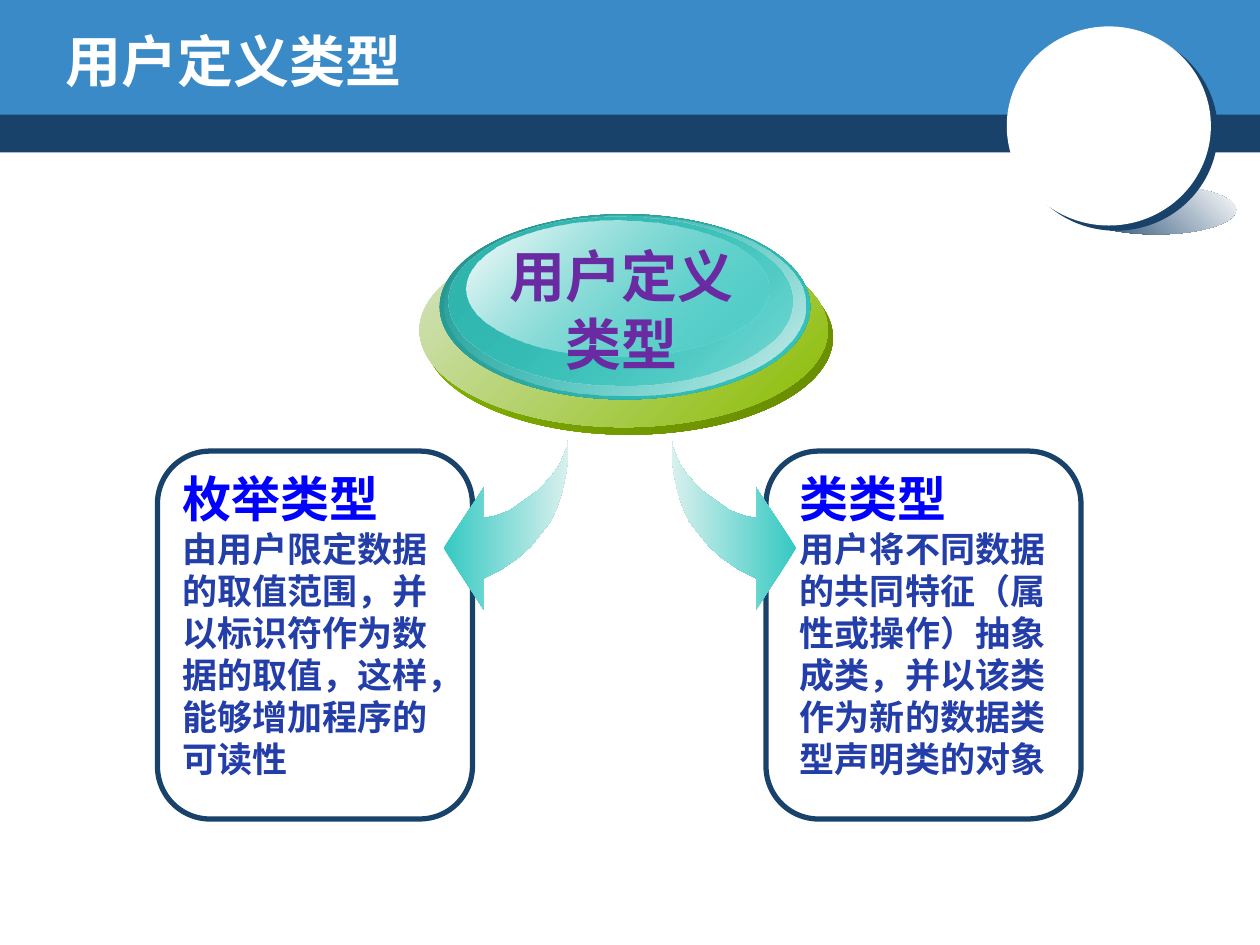
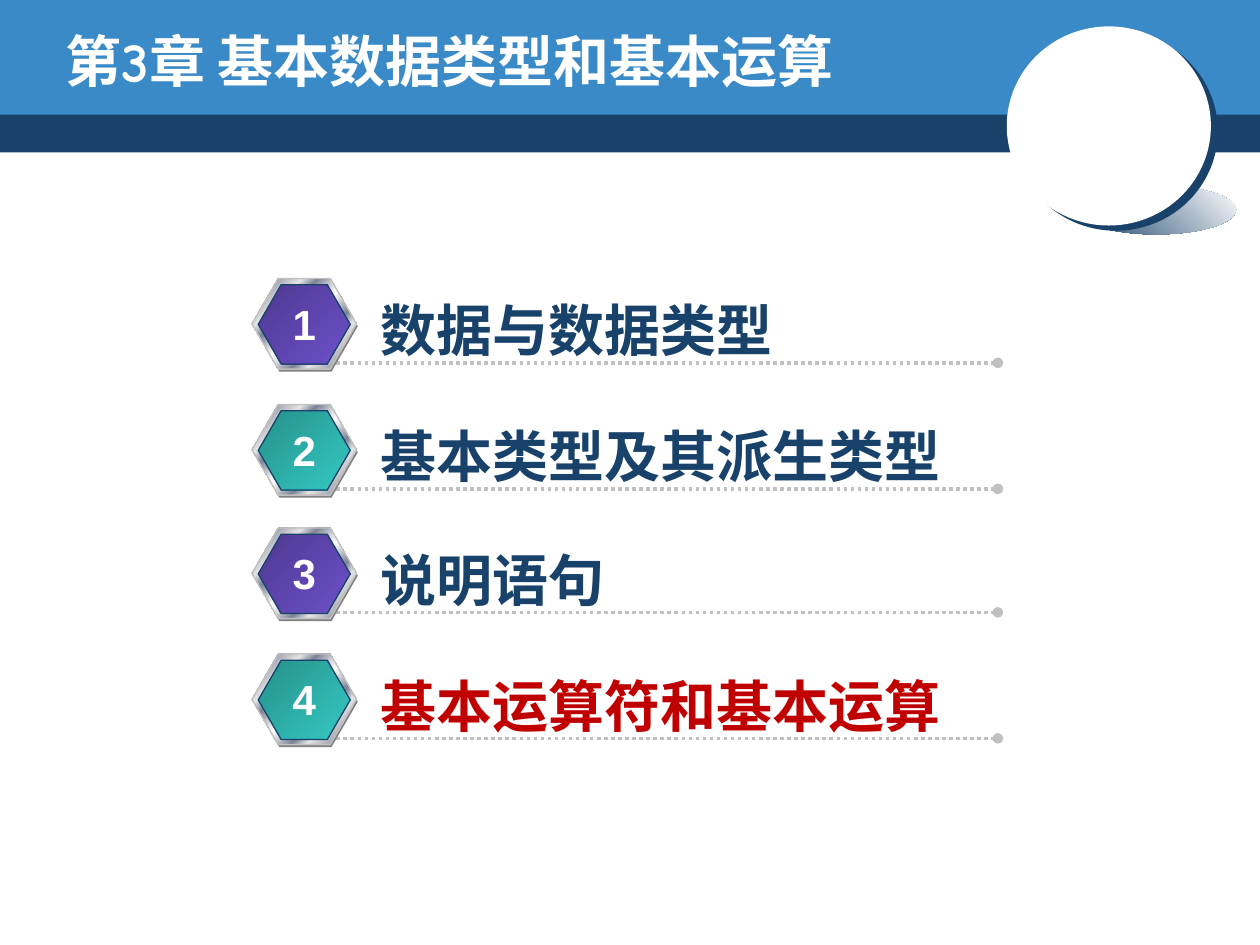
from lxml import etree
from pptx import Presentation
from pptx.dml.color import RGBColor
from pptx.enum.dml import MSO_LINE
from pptx.enum.shapes import MSO_CONNECTOR, MSO_SHAPE
from pptx.enum.text import MSO_ANCHOR, PP_ALIGN
from pptx.oxml import parse_xml
from pptx.oxml.ns import nsdecls, qn
from pptx.util import Inches, Pt

RECT = MSO_SHAPE.RECTANGLE
OVAL = MSO_SHAPE.OVAL
HEXAGON = MSO_SHAPE.HEXAGON
ROUNDED = MSO_SHAPE.ROUNDED_RECTANGLE
STRAIGHT = MSO_CONNECTOR.STRAIGHT
DOTTED = MSO_LINE.ROUND_DOT
LEFT, CENTER = PP_ALIGN.LEFT, PP_ALIGN.CENTER
TOP, MIDDLE = MSO_ANCHOR.TOP, MSO_ANCHOR.MIDDLE

COLORS = {
    "white": "FFFFFF", "navy": "19426B", "sky": "398AC7",
    "heading": "0000FF", "body": "233DA9", "violet": "692AA2",
    "red": "C00000", "silver": "C0C0C0", "gray": "808080",
    "chrome_light": "E6E6E6", "chrome_dark": "7D8496",
    "purple_dark": "4E3990", "purple": "6D50CA",
    "teal_dark": "26908B", "teal_mid": "30B6AF", "teal": "35C9C2",
    "teal_pale": "D5EEEC", "arrow_pale": "D9F0EE",
    "green_dark": "668900", "green": "8BBC00", "green_pale": "D6E4C6",
}
CJK_FONT = "Noto Sans CJK SC"
LINE_HEIGHT = 1.2

CHROME = [(0, "chrome_light"), (7, "chrome_dark"), (26, "chrome_light"),
          (34, "chrome_dark"), (46, "chrome_light"), (50, "white"),
          (54, "chrome_light"), (66, "chrome_dark"), (74, "chrome_light"),
          (93, "chrome_dark"), (100, "chrome_light")]
PURPLE = [(0, "purple_dark"), (100, "purple")]
TEAL = [(0, "teal_dark"), (100, "teal")]

DISC_LAYERS = [
    (0.04, 0.21, 3.24, 1.54, [(0, "green"), (100, "green_dark")]),
    (0, 0.15, 3.24, 1.54, [(0, "green_pale"), (100, "green")]),
    (0.16, 0, 2.94, 1.47, TEAL),
    (0.2, 0.01, 2.86, 1.43, [(0, "teal", 0), (100, "teal_pale")]),
    (0.23, 0.02, 2.73, 1.34, [(0, "teal_mid"), (100, "teal", 48)]),
    (0.37, 0.05, 2.4, 1.08, [(0, "white"), (100, "teal", 38)]),
]
ARROW_WIDTH = 99
ARROW_OUTLINE = [
    (99, 0), (99, 15), (97, 29), (94, 43), (90, 55), (85, 66), (77, 76),
    (69, 86), (59, 95), (46, 104), (32, 111), (32, 136), (0, 87), (32, 39),
    (32, 63), (39, 62), (45, 60), (53, 57), (60, 52), (67, 47), (74, 42),
    (81, 35), (87, 28), (92, 21), (95, 14), (98, 7),
]
CARDS = [
    (6.08, 0.17, 2.25, "类类型",
     "用户将不同数据的共同特征（属性或操作）抽象成类，并以该类作为新的数据类型声明类的对象"),
    (1.25, 0.1, 2.23, "枚举类型",
     "由用户限定数据的取值范围，并以标识符作为数据的取值，这样，能够增加程序的可读性"),
]
CHAPTERS = [
    (2.21, "数据与数据类型", "navy"),
    (3.21, "基本类型及其派生类型", "navy"),
    (4.19, "说明语句", "navy"),
    (5.19, "基本运算符和基本运算", "red"),
]


def rgb(name):
    return RGBColor.from_string(COLORS[name])


def fill_gradient(shape, stops, angle):
    gradient = parse_xml(
        f'<a:gradFill {nsdecls("a")} rotWithShape="1"><a:gsLst/>'
        f'<a:lin ang="{angle * 60000}" scaled="0"/></a:gradFill>')
    for position, name, *opacity in stops:
        stop = etree.SubElement(gradient[0], qn("a:gs"), pos=str(position * 1000))
        color = etree.SubElement(stop, qn("a:srgbClr"), val=COLORS[name])
        for percent in opacity:
            etree.SubElement(color, qn("a:alpha"), val=str(percent * 1000))
    shape.fill.background()
    properties = shape._element.spPr
    properties.replace(properties.find(qn("a:noFill")), gradient)


def paint(shape, fill=None, line=None, weight=0.75, angle=45):
    shape.shadow.inherit = False
    if isinstance(fill, list):
        fill_gradient(shape, fill, angle)
    elif fill:
        shape.fill.solid()
        shape.fill.fore_color.rgb = rgb(fill)
    else:
        shape.fill.background()
    if line:
        shape.line.color.rgb = rgb(line)
        shape.line.width = Pt(weight)
    else:
        shape.line.fill.background()


def add_figure(page, kind, left, top, width, height, **style):
    shape = page.shapes.add_shape(
        kind, Inches(left), Inches(top), Inches(width), Inches(height))
    paint(shape, **style)
    return shape


def add_text(page, left, top, width, height, text, styles, font=CJK_FONT,
             align=LEFT, anchor=TOP, wrap=False):
    box = page.shapes.add_textbox(
        Inches(left), Inches(top), Inches(width), Inches(height))
    frame = box.text_frame
    frame.word_wrap = wrap
    frame.vertical_anchor = anchor
    frame.text = text
    for index, para in enumerate(frame.paragraphs):
        size, color = styles[min(index, len(styles) - 1)]
        para.alignment = align
        para.line_spacing = Pt(size * LINE_HEIGHT)
        for span in para.runs:
            span.font.name = font
            span.font.size = Pt(size)
            span.font.bold = True
            span.font.color.rgb = rgb(color)
            etree.SubElement(span._r.get_or_add_rPr(), qn("a:ea"), typeface=CJK_FONT)


def add_badge(page, left, top):
    add_figure(page, OVAL, left + 0.55, top + 1.26, 1.27, 0.39,
               fill=[(0, "navy"), (100, "white")], angle=315)
    circle = add_figure(page, OVAL, left, top, 1.62, 1.58, fill="white")
    effects = circle._element.spPr.find(qn("a:effectLst"))
    shadow = etree.SubElement(effects, qn("a:outerShdw"), blurRad="0",
                              dist=str(Pt(5)), dir=str(37 * 60000),
                              algn="ctr", rotWithShape="0")
    etree.SubElement(shadow, qn("a:srgbClr"), val=COLORS["navy"])


def add_page(deck, title):
    page = deck.slides.add_slide(deck.slide_layouts[6])
    add_figure(page, RECT, 0, 0.87, 10, 0.34, fill="navy")
    add_figure(page, RECT, 0, 0, 10, 0.91, fill="sky")
    add_badge(page, 7.99, 0.21)
    add_text(page, 0.42, 0.17, 8.08, 0.62, title, [(32, "white")],
             font="Comic Neue", anchor=MIDDLE, wrap=True)
    return page


def add_card(page, left, top, inset, text_width, heading, body):
    card = add_figure(page, ROUNDED, left, top, 2.5, 2.92, line="navy", weight=3)
    card.adjustments[0] = 0.167
    add_text(page, left + inset, top + 0.09, text_width, 2.59,
             f"{heading}\n{body}", [(28, "heading"), (20, "body")], wrap=True)


def add_curved_arrow(page, left, top, mirrored=False):
    points = [(ARROW_WIDTH - x if mirrored else x, y) for x, y in ARROW_OUTLINE]
    builder = page.shapes.build_freeform(*points[0], scale=Inches(0.01))
    builder.add_line_segments(points[1:], close=True)
    arrow = builder.convert_to_shape(Inches(left), Inches(top))
    paint(arrow, fill=[(0, "teal"), (100, "arrow_pale")],
          angle=180 if mirrored else 0)


def add_disc(page, left, top, text):
    for x, y, width, height, stops in DISC_LAYERS:
        add_figure(page, OVAL, left + x, top + y, width, height, fill=stops)
    add_text(page, left + 0.6, top + 0.17, 2, 1.18, text, [(32, "violet")],
             align=CENTER)


def add_number_hexagon(page, left, top, number, stops):
    layers = [
        (0.01, 0.02, 0.83, 0.72, {"fill": "gray"}),
        (0, 0, 0.83, 0.72, {"fill": CHROME, "line": "silver"}),
        (0.05, 0.05, 0.73, 0.63, {"fill": stops, "line": "navy"}),
    ]
    for x, y, width, height, style in layers:
        hexagon = add_figure(page, HEXAGON, left + x, top + y, width, height, **style)
        hexagon.adjustments[0] = 0.289
    add_text(page, left + 0.22, top + 0.11, 0.39, 0.5, str(number),
             [(24, "white")], font="Arial", align=CENTER)


def add_dotted_rule(page, left, top, width):
    rule = page.shapes.add_connector(
        STRAIGHT, Inches(left), Inches(top), Inches(left + width), Inches(top))
    rule.line.color.rgb = rgb("silver")
    rule.line.width = Pt(2)
    rule.line.dash_style = DOTTED
    properties = rule._element.spPr
    etree.SubElement(properties.find(qn("a:ln")), qn("a:tailEnd"), type="oval")
    etree.SubElement(properties, qn("a:effectLst"))


def add_chapter(page, left, top, number, label, color):
    add_dotted_rule(page, left + 0.67, top + 0.67, 5.25)
    add_number_hexagon(page, left, top, number, PURPLE if number % 2 else TEAL)
    add_text(page, left + 0.92, top + 0.09, 4.7, 0.64, label, [(32, color)],
             font="Arial")


def build_types_page(deck):
    page = add_page(deck, "用户定义类型")
    for left, inset, text_width, heading, body in CARDS:
        add_card(page, left, 3.58, inset, text_width, heading, body)
    add_curved_arrow(page, 3.52, 3.48)
    add_curved_arrow(page, 5.33, 3.48, mirrored=True)
    add_disc(page, 3.33, 1.7, "用户定义\n类型")


def build_chapters_page(deck):
    page = add_page(deck, "第3章 基本数据类型和基本运算")
    for number, (top, label, color) in enumerate(CHAPTERS, start=1):
        add_chapter(page, 2, top, number, label, color)


def main():
    deck = Presentation()
    deck.slide_width = Inches(10)
    deck.slide_height = Inches(7.5)
    build_types_page(deck)
    build_chapters_page(deck)
    deck.save("out.pptx")


if __name__ == "__main__":
    main()
